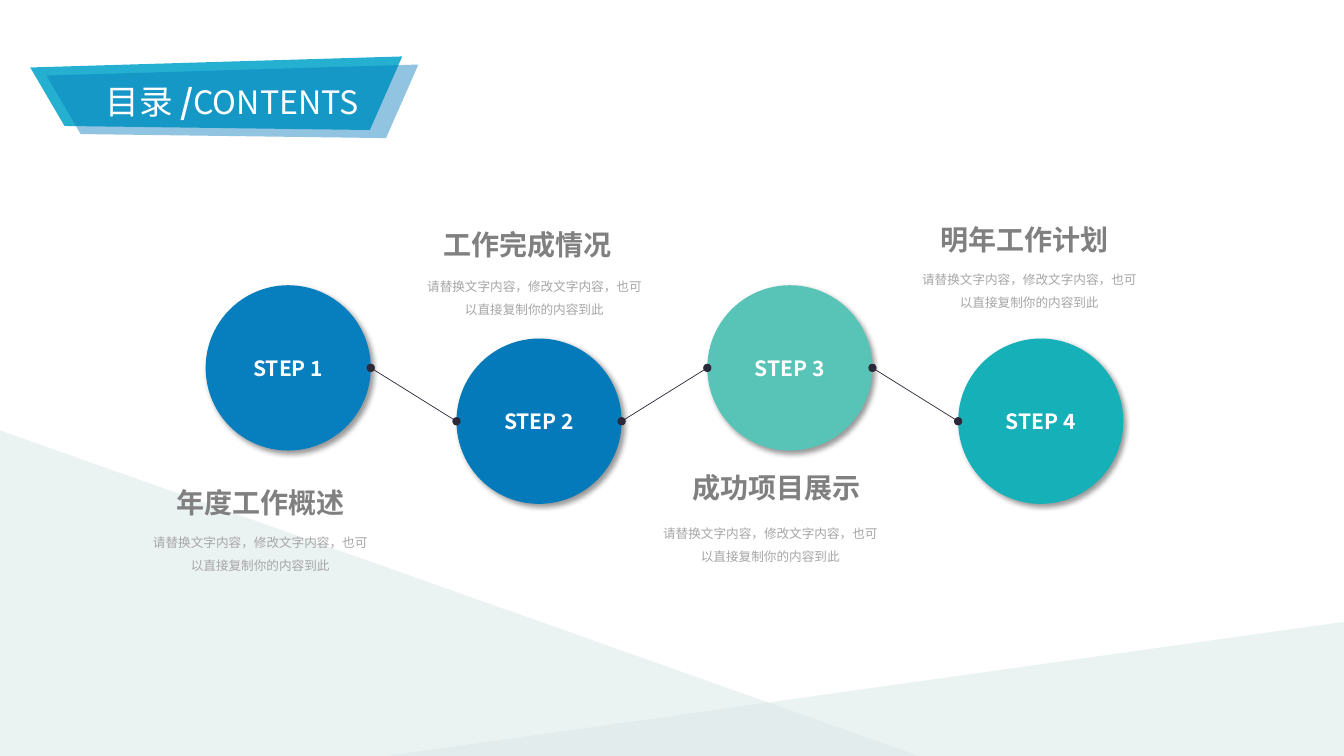
from dataclasses import dataclass
from lxml import etree
from pptx import Presentation, util as u
from pptx.dml.color import RGBColor
from pptx.enum import shapes, text
from pptx.oxml import ns


@dataclass(frozen=True)
class Theme:
    font: str = "Noto Sans CJK SC"
    plain: str = "Arial"
    hill: str = "DDE9E8"
    back: str = "25B0D2"
    front: str = "047ABA"
    white: str = "FFFFFF"
    line: str = "2B2939"
    head: str = "808080"
    body: str = "A6A6A6"
    steps: tuple = ("077FBF", "047ABA", "58C4B8", "15B0B8")
    big: int = 24
    latin: int = 23
    title: int = 20
    step: int = 15
    note: int = 9


@dataclass(frozen=True)
class Box:
    x: float
    y: float
    w: float
    h: float

    def inner(self, x, y, w, h):
        """Inner box, given in percent of this one."""
        return Box(self.x + self.w * x / 100, self.y + self.h * y / 100,
                   self.w * w / 100, self.h * h / 100)

    def emu(self):
        return [u.Emu(round(v)) for v in (self.x, self.y, self.w, self.h)]


THEME = Theme()
NOTE = "请替换文字内容，修改文字内容，也可以直接复制你的内容到此"


def add(node, tag, **attrs):
    return etree.SubElement(node, ns.qn(tag), attrs)


def paint(shape, color, alpha=100):
    shape.shadow.inherit = False
    shape.line.fill.background()
    shape.fill.solid()
    shape.fill.fore_color.rgb = RGBColor.from_string(color)
    if alpha < 100:
        tone = shape._element.spPr.find(".//" + ns.qn("a:srgbClr"))
        add(tone, "a:alpha", val=str(alpha * 1000))


def style(run, size, color, bold=False, font=THEME.font):
    run.font.size, run.font.bold, run.font.name = u.Pt(size), bold, font
    run.font.color.rgb = RGBColor.from_string(color)
    add(run._r.get_or_add_rPr(), "a:ea", typeface=font)


def label(slide, box, words, size, color, bold=False, font=THEME.font):
    frame = slide.shapes.add_textbox(*box.emu()).text_frame
    frame.margin_left = frame.margin_right = 0
    frame.margin_top = frame.margin_bottom = 0
    frame.word_wrap = True
    frame.auto_size = text.MSO_AUTO_SIZE.SHAPE_TO_FIT_TEXT
    frame.text = words
    style(frame.paragraphs[0].runs[0], size, color, bold, font)
    return frame.paragraphs[0]


# Pale hills at the foot
def hills(slide, box):
    for area, flip in (((28.73, 58.5, 71.77, 41.5), True), ((0, 0, 68.4, 100), False)):
        hill = slide.shapes.add_shape(shapes.MSO_SHAPE.RIGHT_TRIANGLE,
                                      *box.inner(*area).emu())
        paint(hill, THEME.hill, 56)
        if flip:
            hill._element.spPr.find(ns.qn("a:xfrm")).set("flipH", "1")


# Heading on two slanted panels
def banner(slide, box):
    group = slide.shapes.add_group_shape()
    corners = ((0, 15), (9.2, 94.5), (91.3, 100), (100, 0))
    for x, y, color, alpha in ((0, 0, THEME.back, 100), (4.16, 9.9, THEME.front, 44)):
        area = box.inner(x, y, 95.84, 90.1)
        points = [area.inner(*spot, 0, 0).emu()[:2] for spot in corners]
        pen = group.shapes.build_freeform(*points[0])
        pen.add_line_segments(points[1:], close=True)
        panel = pen.convert_to_shape()
        paint(panel, color, alpha)
    frame = panel.text_frame
    frame.vertical_anchor = text.MSO_ANCHOR.MIDDLE
    line = frame.paragraphs[0]
    line.alignment = text.PP_ALIGN.CENTER
    for words, size, bold in (("目录 ", THEME.big, False), ("/", THEME.big, True),
                              ("CONTENTS", THEME.latin, False)):
        run = line.add_run()
        run.text = words
        style(run, size, THEME.white, bold)


# One round step with its soft shadow
def disc(slide, box, words, color):
    shape = slide.shapes.add_shape(shapes.MSO_SHAPE.OVAL, *box.emu())
    paint(shape, color)
    effect = shape._element.spPr.find(ns.qn("a:effectLst"))
    glow = add(effect, "a:outerShdw", blurRad=str(u.Pt(4)), dist=str(u.Pt(3)),
               dir="2700000", algn="tl", rotWithShape="0")
    add(add(glow, "a:srgbClr", val="000000"), "a:alpha", val="40000")
    frame = shape.text_frame
    frame.text = words
    frame.vertical_anchor = text.MSO_ANCHOR.MIDDLE
    frame.paragraphs[0].alignment = text.PP_ALIGN.CENTER
    style(frame.paragraphs[0].runs[0], THEME.step, THEME.white, True)


def link(slide, start, end):
    line = slide.shapes.add_connector(shapes.MSO_CONNECTOR.STRAIGHT,
                                      *start.emu()[:2], *end.emu()[:2])
    line.line.width = u.Pt(0.5)
    line.line.color.rgb = RGBColor.from_string(THEME.line)
    edge = line._element.spPr.find(ns.qn("a:ln"))
    add(edge, "a:headEnd", type="oval")
    add(edge, "a:tailEnd", type="oval")
    add(line._element.spPr, "a:effectLst")


# Zigzag row: odd steps sit high, even steps sit low
def chain(slide, box):
    wide, tall = 18, 75.6
    pitch = (100 - wide) / (len(THEME.steps) - 1)
    spots = [box.inner(i * pitch, i % 2 * (100 - tall), wide, tall)
             for i in range(len(THEME.steps))]
    for i, (spot, color) in enumerate(zip(spots, THEME.steps), 1):
        disc(slide, spot, f"STEP {i}", color)
    for left, right in zip(spots, spots[1:]):
        link(slide, left.inner(100, 50, 0, 0), right.inner(0, 50, 0, 0))


# Title with a short note below it
def caption(slide, box, title, indent, drop):
    label(slide, box.inner(indent, 0, 122.5, 48.8), title,
          THEME.title, THEME.head, True)
    note = label(slide, box.inner(0, drop, 100, 51.2), NOTE,
                 THEME.note, THEME.body, font=THEME.plain)
    note.alignment = text.PP_ALIGN.CENTER
    note.line_spacing = 1.5


def contents(deck):
    slide = deck.slides.add_slide(deck.slide_layouts[6])
    page = Box(0, 0, deck.slide_width, deck.slide_height)
    hills(slide, page.inner(0, 56.93, 100, 43.07))
    banner(slide, page.inner(2.25, 7.47, 28.88, 10.8))
    chain(slide, page.inner(15.3, 37.73, 68.28, 28.93))
    for x, y, title, indent, drop in (
            (11.18, 64.27, "年度工作概述", 11.9, 48.8),
            (31.58, 30.13, "工作完成情况", 8.7, 51.2),
            (49.13, 62.27, "成功项目展示", 14.7, 56),
            (68.4, 29.47, "明年工作计划", 9.6, 48.8)):
        caption(slide, page.inner(x, y, 16.35, 11.2), title, indent, drop)


deck = Presentation()
deck.slide_width, deck.slide_height = u.Inches(13.33), u.Inches(7.5)
contents(deck)
deck.save("out.pptx")
